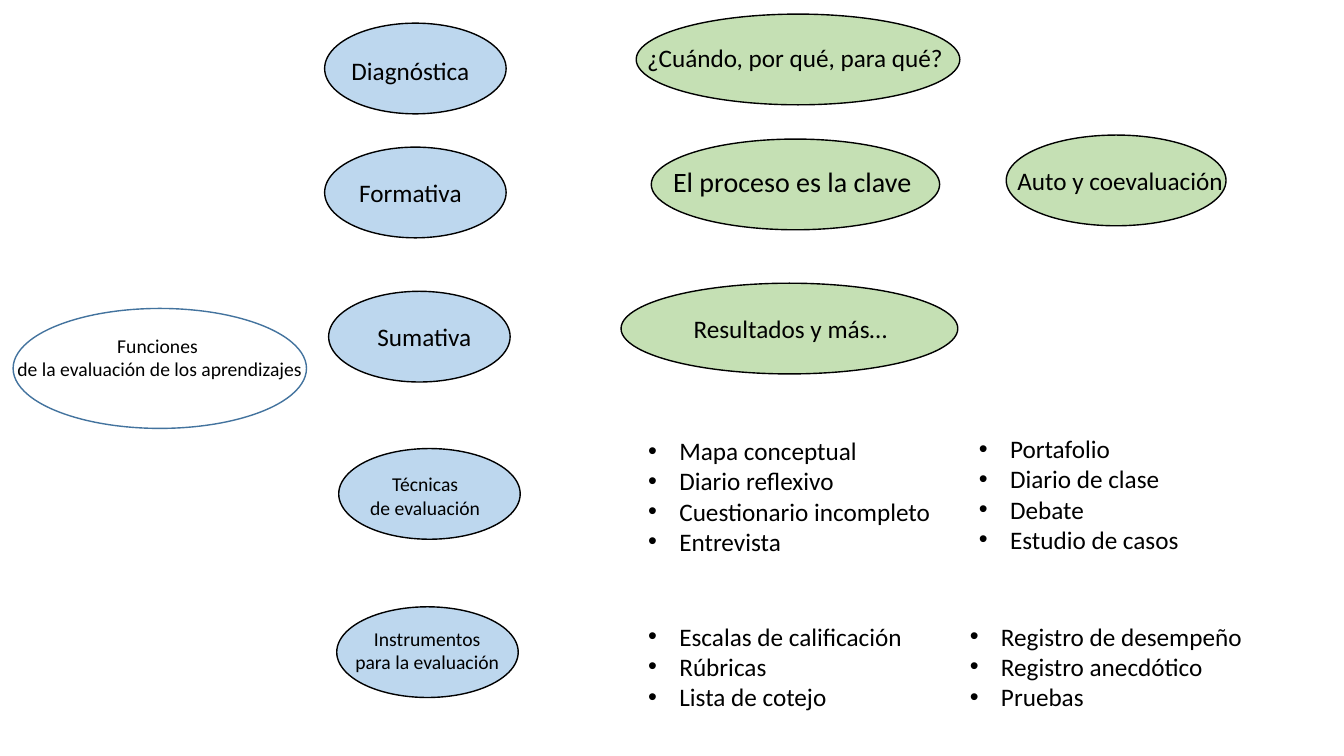
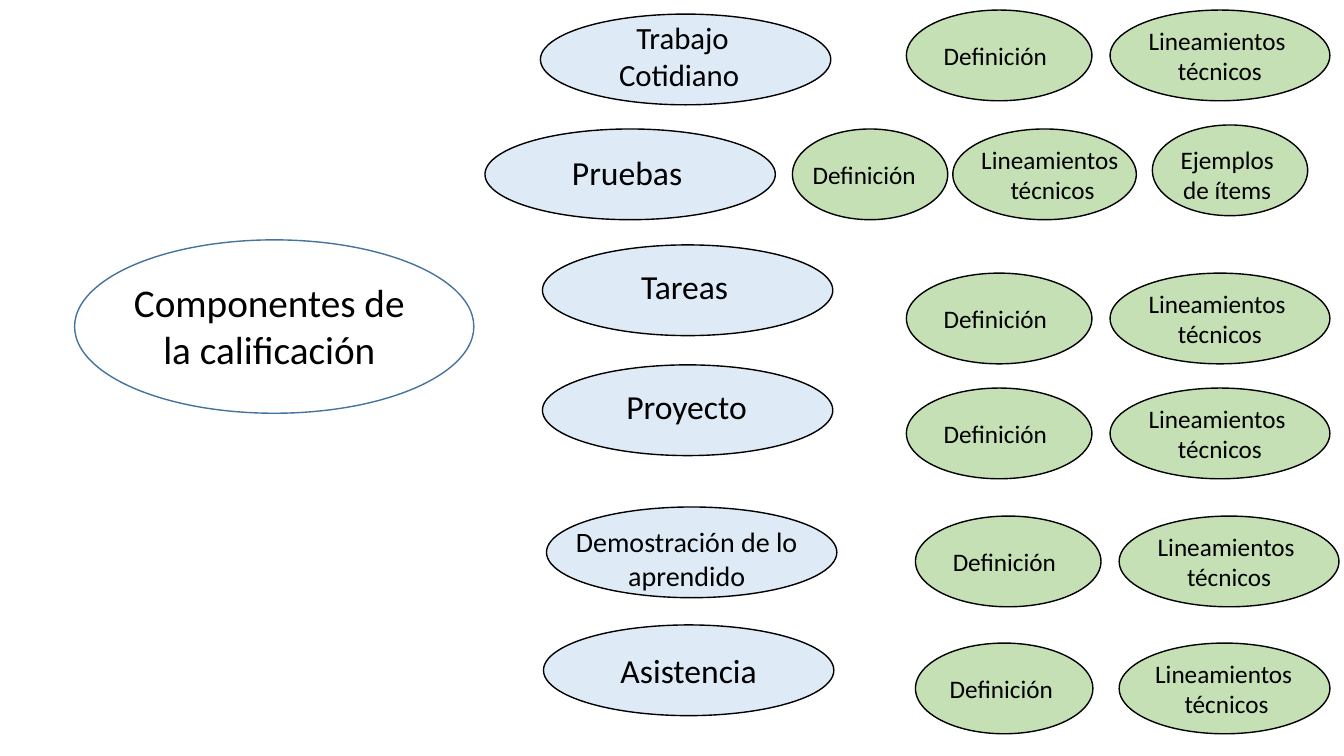
"""Build two concept-map slides on the evaluation and grading of learning."""
from dataclasses import dataclass

from lxml.etree import SubElement
from pptx import Presentation
from pptx.dml.color import RGBColor as RGB
from pptx.enum.shapes import MSO_SHAPE as SHAPE
from pptx.enum.text import MSO_ANCHOR as ANCHOR, MSO_AUTO_SIZE as AUTO, PP_ALIGN as ALIGN
from pptx.oxml.ns import qn
from pptx.util import Inches, Pt


@dataclass(frozen=True)
class Theme:
    font: str = "Calibri"
    ink: RGB = RGB(0x00, 0x00, 0x00)
    topic_line: RGB = RGB(0x43, 0x73, 0x9E)
    blue: RGB = RGB(0xBD, 0xD7, 0xEE)
    pale_blue: RGB = RGB(0xDE, 0xEB, 0xF7)
    green: RGB = RGB(0xC5, 0xE0, 0xB4)
    small: int = 14
    body: int = 18
    medium: int = 20
    large: int = 22
    heading: int = 24
    topic: int = 28


T = Theme()
OVAL_H = 0.9


def write(tf, text, size, align=ALIGN.CENTER):
    tf.text = text
    tf.auto_size = AUTO.NONE
    tf.word_wrap = False
    for p in tf.paragraphs:
        p.alignment = align
        for r in p.runs:
            r.font.name, r.font.size = T.font, Pt(size)
            r.font.color.rgb = T.ink


def oval(s, x, y, w, fill, text, size=T.body, dx=0, dy=0):
    sp = s.shapes.add_shape(SHAPE.OVAL, Inches(x), Inches(y), Inches(w), Inches(OVAL_H))
    sp.shadow.inherit = False
    sp.fill.solid()
    sp.fill.fore_color.rgb = fill
    sp.line.color.rgb, sp.line.width = T.ink, Pt(1)
    tf = sp.text_frame
    write(tf, text, size)
    tf.vertical_anchor = ANCHOR.MIDDLE
    tf.margin_left, tf.margin_right = Inches(max(0, 2 * dx)), Inches(max(0, -2 * dx))
    tf.margin_top, tf.margin_bottom = Inches(max(0, 2 * dy)), Inches(max(0, -2 * dy))


prs = Presentation()
prs.slide_width, prs.slide_height = Inches(13.33), Inches(7.5)

topics = [
    ("Funciones \nde la evaluación de los aprendizajes", T.small,
     (0.06, 3.26, 3.05, 0.57), (0.13, 3.06, 2.91, 1.19)),
    ("Componentes de \nla calificación ", T.topic,
     (1.21, 2.71, 3.01, 1.04), (0.74, 2.38, 3.96, 1.72)),
]
for text, size, title_box, ring_box in topics:
    s = prs.slides.add_slide(prs.slide_layouts[5])
    title = s.shapes.title
    title.left, title.top, title.width, title.height = map(Inches, title_box)
    write(title.text_frame, text, size)
    title.text_frame.vertical_anchor = ANCHOR.MIDDLE
    ring = s.shapes.add_shape(SHAPE.OVAL, *map(Inches, ring_box))
    ring.shadow.inherit = False
    ring.fill.background()
    ring.line.color.rgb, ring.line.width = T.topic_line, Pt(1)

functions_slide, components_slide = prs.slides

functions = [
    (3.22, 0.23, "Diagnóstica", T.body, -0.05, 0.02),
    (3.22, 1.46, "Formativa", T.body, -0.05, 0),
    (3.26, 2.89, "Sumativa", T.body, 0.05, 0),
    (3.36, 4.45, "Técnicas \nde evaluación ", T.small, -0.02, 0.02),
    (3.34, 6.02, "Instrumentos \npara la evaluación ", T.small, 0.02, -0.02),
]
for x, y, text, size, dx, dy in functions:
    oval(functions_slide, x, y, 1.8, T.blue, text, size, dx, dy)

ideas = [
    (6.31, 0.14, 3.21, "¿Cuándo, por qué, para qué?", T.body, -0.03, -0.02),
    (6.46, 1.38, 2.86, "El proceso es la clave ", T.medium, 0, -0.03),
    (6.16, 2.81, 3.34, "Resultados y más…", T.body, 0.01, 0),
    (9.98, 1.34, 2.18, "Auto y coevaluación", T.body, 0.04, 0),
]
for x, y, w, text, size, dx, dy in ideas:
    oval(functions_slide, x, y, w, T.green, text, size, dx, dy)

lists = [
    (6.33, 4.27, ["Mapa conceptual", "Diario reflexivo", "Cuestionario incompleto", "Entrevista"]),
    (9.61, 4.25, ["Portafolio", "Diario de clase", "Debate", "Estudio de casos"]),
    (6.33, 6.11, ["Escalas de calificación", "Rúbricas", "Lista de cotejo"]),
    (9.52, 6.11, ["Registro de desempeño", "Registro anecdótico", "Pruebas"]),
]
for x, y, items in lists:
    height = 0.11 + 0.3 * len(items)
    sp = functions_slide.shapes.add_textbox(Inches(x), Inches(y), Inches(3.1), Inches(height))
    write(sp.text_frame, "\n".join(items), T.body, ALIGN.LEFT)
    sp.text_frame.word_wrap = True
    for p in sp.text_frame.paragraphs:
        pPr = p._p.get_or_add_pPr()
        pPr.set("marL", str(Inches(0.31)))
        pPr.set("indent", str(-Inches(0.31)))
        SubElement(pPr, qn("a:buFont"), typeface="Arial")
        SubElement(pPr, qn("a:buChar"), char="•")

components = [
    (5.36, 0.14, "Trabajo\vCotidiano ", T.large, -0.03, -0.04),
    (4.81, 1.28, "Pruebas", T.heading, -0.03, -0.02),
    (5.38, 2.43, "Tareas", T.heading, -0.03, -0.04),
    (5.38, 3.62, "Proyecto", T.heading, -0.01, -0.04),
    (5.42, 5.03, "Demostración de lo\vaprendido", T.medium, -0.05, 0.06),
    (5.39, 6.2, "Asistencia", T.heading, 0, 0),
]
for x, y, text, size, dx, dy in components:
    oval(components_slide, x, y, 2.88, T.pale_blue, text, size, dx, dy)

definition, guidelines = "Definición ", "Lineamientos \ntécnicos"
detail_rows = [
    (8.99, 0.1, 1.84, 11.01, 2.18, -0.01, 0),
    (7.86, 1.28, 1.54, 9.45, 1.82, -0.03, 0.08),
    (8.99, 2.71, 1.84, 11.01, 2.18, -0.01, 0),
    (8.99, 3.85, 1.84, 11.01, 2.18, -0.01, 0),
    (9.08, 5.12, 1.84, 11.1, 2.18, -0.01, 0),
    (9.08, 6.38, 1.76, 11.1, 2.09, 0, 0.02),
]
for def_x, y, def_w, guide_x, guide_w, def_dx, guide_dx in detail_rows:
    oval(components_slide, def_x, y, def_w, T.green, definition, dx=def_dx)
    oval(components_slide, guide_x, y, guide_w, T.green, guidelines, dx=guide_dx)
oval(components_slide, 11.43, 1.24, 1.54, T.green, "Ejemplos \nde ítems ", dy=0.04)

prs.save("out.pptx")
